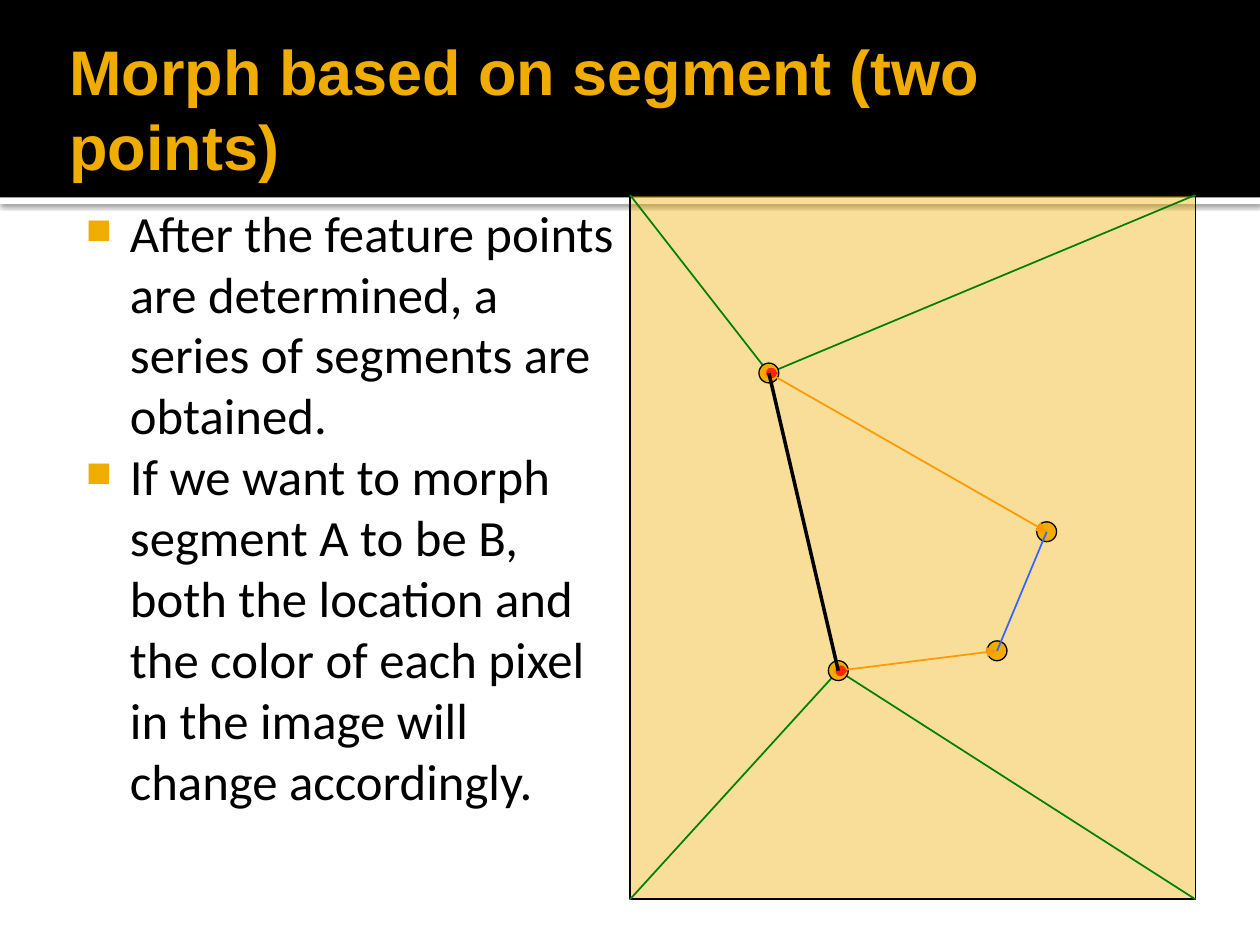
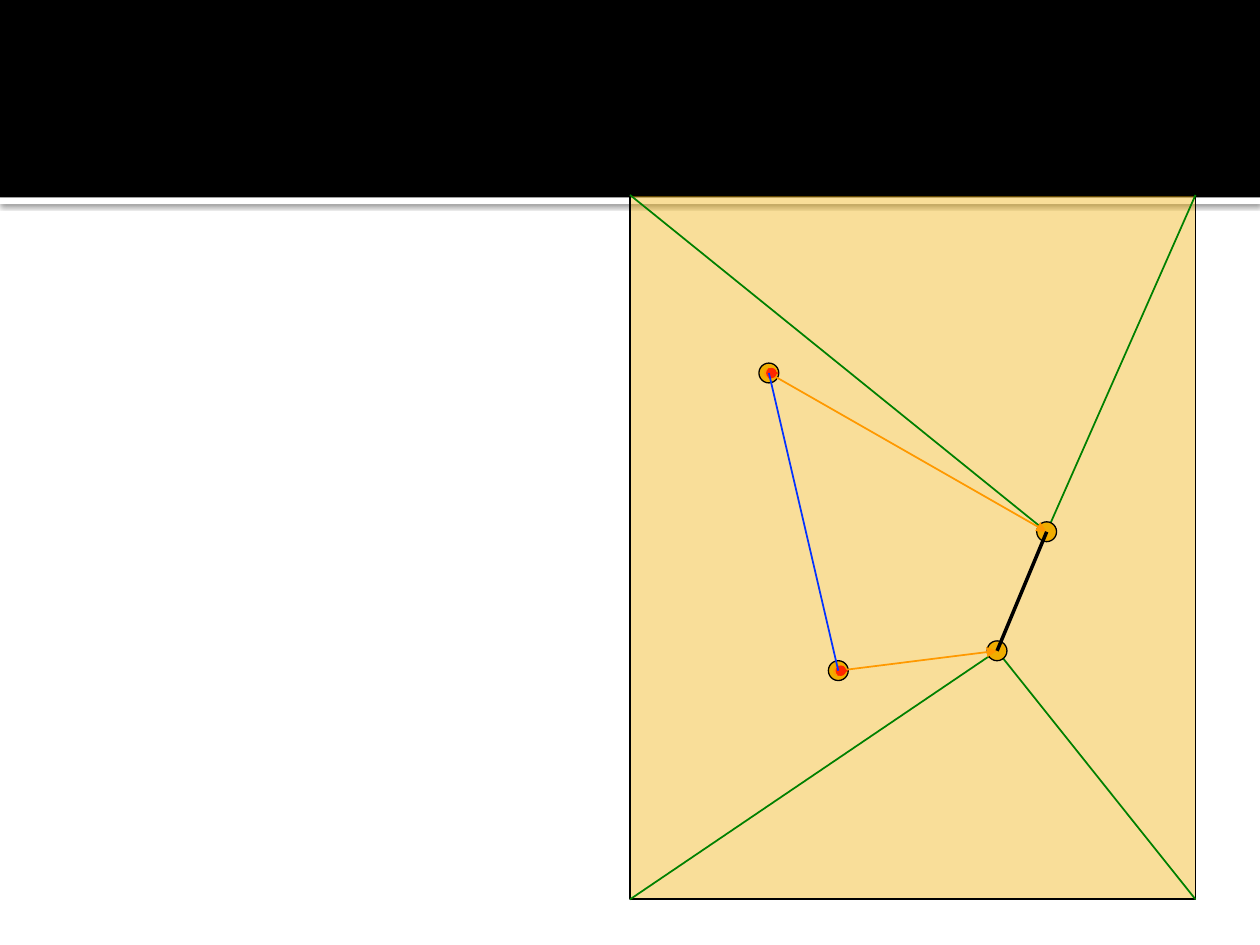
from lxml import etree
from pptx import Presentation
from pptx.dml.color import RGBColor
from pptx.enum.shapes import MSO_CONNECTOR, MSO_SHAPE
from pptx.enum.text import MSO_ANCHOR, MSO_AUTO_SIZE, PP_ALIGN
from pptx.oxml import parse_xml
from pptx.oxml.ns import qn
from pptx.util import Cm, Pt

RECT, OVAL = MSO_SHAPE.RECTANGLE, MSO_SHAPE.OVAL
STRAIGHT = MSO_CONNECTOR.STRAIGHT
MIDDLE, TOP = MSO_ANCHOR.MIDDLE, MSO_ANCHOR.TOP
LEFT, NO_FIT = PP_ALIGN.LEFT, MSO_AUTO_SIZE.NONE
NS = 'xmlns:a="http://schemas.openxmlformats.org/drawingml/2006/main"'

COLORS = {
    "black": "000000", "white": "FFFFFF", "gold": "F0AD00",
    "green": "008000", "orange": "FF9900", "red": "FF2600",
    "sky": "3366FF", "blue": "0432FF",
}
WIDTH, HEIGHT, BAND = 25.4, 19.05, 3.98
FRAME = (12.7, 3.93, 11.4, 14.2)
DOT = 0.4
SEG_A = ((15.5, 7.52), (16.9, 13.52))
SEG_B = ((21.1, 10.72), (20.1, 13.12))
TITLE = "Morph based on segment (two points)"
POINTS = (
    "After the feature points are determined, a series of segments are obtained.",
    "If we want to morph segment A to be B, both the location and the color "
    "of each pixel in the image will change accordingly.",
)


def color(name):
    return RGBColor.from_string(COLORS[name])


def add_shape(shapes, kind, box, fill, line=None):
    shape = shapes.add_shape(kind, *map(Cm, box))
    shape.shadow.inherit = False
    shape.fill.solid()
    shape.fill.fore_color.rgb = color(fill)
    if line:
        shape.line.color.rgb = color("black")
        shape.line.width = Pt(line)
    else:
        shape.line.fill.background()
    return shape


def add_line(shapes, start, end, tint, width=1, arrow=False):
    line = shapes.add_connector(STRAIGHT, *map(Cm, start + end))
    line.line.color.rgb = color(tint)
    line.line.width = Pt(width)
    props = line._element.spPr
    if arrow:
        stroke = props.find(qn("a:ln"))
        etree.SubElement(stroke, qn("a:headEnd"), type="oval")
        etree.SubElement(stroke, qn("a:tailEnd"), type="triangle")
    etree.SubElement(props, qn("a:effectLst"))


def add_bands(slide):
    strip = add_shape(slide.shapes, RECT, (0, BAND, WIDTH, 0.13), "white")
    glow = strip._element.spPr.find(qn("a:effectLst"))
    glow.append(parse_xml(
        f'<a:outerShdw {NS} blurRad="{Pt(3)}" dist="{Pt(0.8)}" dir="5400000">'
        f'<a:srgbClr val="{COLORS["black"]}"><a:alpha val="60000"/></a:srgbClr>'
        '</a:outerShdw>'))
    add_shape(slide.shapes, RECT, (0, 0, WIDTH, BAND), "black")


def set_frame(frame, anchor):
    frame.word_wrap = True
    frame.auto_size = NO_FIT
    frame.vertical_anchor = anchor
    frame.margin_left = frame.margin_right = Cm(0.13)
    frame.margin_top = frame.margin_bottom = Cm(0.13)


def set_font(para, name, size, tint, bold=False):
    para.alignment = LEFT
    for run in para.runs:
        font = run.font
        font.name, font.size, font.bold = name, Pt(size), bold
        font.color.rgb = color(tint)


def add_title(slide, text):
    title = slide.shapes.title
    title.left, title.top = Cm(1.27), Cm(0.43)
    title.width, title.height = Cm(22.86), Cm(3.48)
    slide.shapes._spTree.append(title._element)
    set_frame(title.text_frame, MIDDLE)
    title.text_frame.text = text
    set_font(title.text_frame.paragraphs[0], "Arial", 36, "gold", True)


def add_bullet(para):
    props = para._p.get_or_add_pPr()
    props.set("marL", str(Cm(1.22)))
    props.set("indent", str(Cm(-0.89)))
    tint = etree.SubElement(props, qn("a:buClr"))
    etree.SubElement(tint, qn("a:srgbClr"), val=COLORS["gold"])
    etree.SubElement(props, qn("a:buSzPct"), val="62000")
    etree.SubElement(props, qn("a:buChar"), char="◼")


def add_list(slide, items):
    box = slide.shapes.add_textbox(Cm(1.27), Cm(3.93), Cm(11.43), Cm(13.08))
    frame = box.text_frame
    set_frame(frame, TOP)
    frame.text = "\n".join(items)
    for para in frame.paragraphs:
        add_bullet(para)
        set_font(para, "Calibri", 29, "black")


def add_dot(shapes, point):
    x, y = point
    add_shape(shapes, OVAL, (x - DOT / 2, y - DOT / 2, DOT, DOT), "gold", 0.75)


def add_morph(slide, bold, thin, tint):
    shapes = slide.shapes.add_group_shape().shapes
    frame = add_shape(shapes, RECT, FRAME, "gold", 1)
    fill = frame._element.spPr.find(qn("a:solidFill"))
    etree.SubElement(fill[0], qn("a:alpha"), val="40000")

    left, top, width, height = FRAME
    for end, y in zip(bold, (top, top + height)):
        for x in (left, left + width):
            add_line(shapes, (x, y), end, "green")

    for start, end in zip(SEG_A, SEG_B):
        add_dot(shapes, start)
        add_dot(shapes, end)
        add_line(shapes, start, end, "orange", arrow=True)
        x, y = start
        add_line(shapes, (x + 0.05, y), (x + 0.2, y), "red", 2, True)

    add_line(shapes, *thin, tint)
    add_line(shapes, *bold, "black", 2)


def main():
    deck = Presentation()
    deck.slide_width, deck.slide_height = Cm(WIDTH), Cm(HEIGHT)

    first = deck.slides.add_slide(deck.slide_layouts[5])
    add_bands(first)
    add_title(first, TITLE)
    add_list(first, POINTS)
    add_morph(first, SEG_A, SEG_B, "sky")

    second = deck.slides.add_slide(deck.slide_layouts[6])
    add_bands(second)
    add_morph(second, SEG_B, SEG_A, "blue")

    deck.save("out.pptx")


if __name__ == "__main__":
    main()
